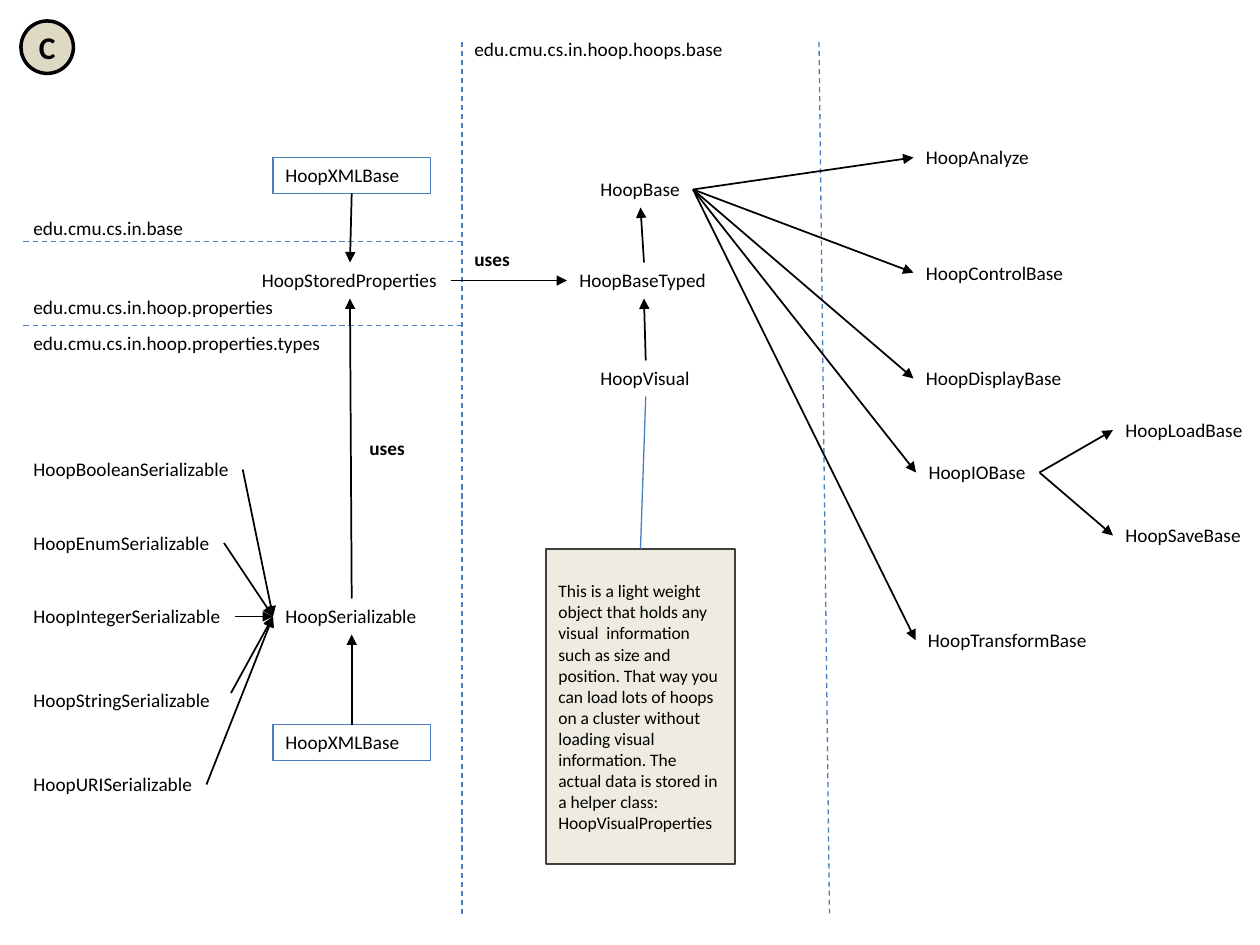
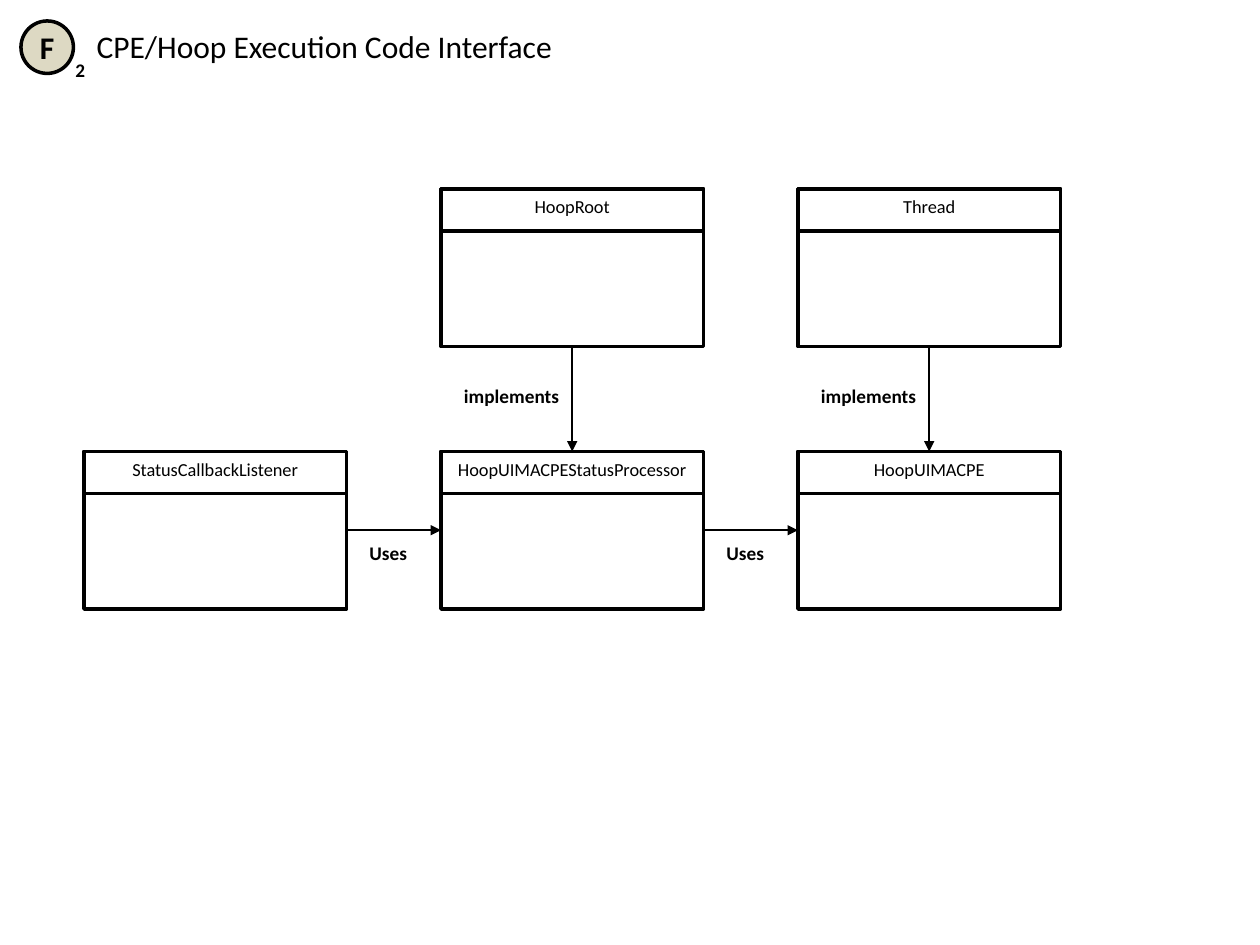
"""Build two class-diagram slides of the Hoop framework."""
from dataclasses import dataclass
from typing import Any, Optional

import lxml.etree
import pptx
import pptx.dml.color
import pptx.enum.dml
import pptx.enum.shapes
import pptx.enum.text
import pptx.oxml.ns
import pptx.util

Pt = pptx.util.Pt
Align = pptx.enum.text.PP_ALIGN
Anchor = pptx.enum.text.MSO_ANCHOR
Shape = pptx.enum.shapes.MSO_SHAPE
Color = pptx.dml.color.RGBColor
TOP, LEFT, BOTTOM, RIGHT = range(4)


@dataclass(frozen=True)
class Theme:
    font: str = "Calibri"
    ink: Color = Color(0x00, 0x00, 0x00)
    paper: Color = Color(0xFF, 0xFF, 0xFF)
    blue: Color = Color(0x4B, 0x7E, 0xBC)
    badge: Color = Color(0xDD, 0xD9, 0xC3)
    note: Color = Color(0xEE, 0xEC, 0xE1)
    note_edge: Color = Color(0x40, 0x40, 0x40)
    title_size: float = 18
    label_size: float = 11
    class_size: float = 10.5
    note_size: float = 10
    thin: float = 0.75
    medium: float = 1
    thick: float = 2
    label_height: float = 20.6


@dataclass(frozen=True)
class Area:
    left: float
    top: float
    width: float
    height: float = Theme.label_height

    def lengths(self) -> tuple:
        return tuple(Pt(value) for value in (self.left, self.top, self.width, self.height))


@dataclass(frozen=True)
class Label:
    text: str
    left: float
    top: float
    width: float
    bold: bool = False
    wrap: bool = False


@dataclass(frozen=True)
class Joint:
    shape: Any
    side: int


@dataclass(frozen=True)
class Point:
    x: float
    y: float


THEME = Theme()

LABELS = [
    Label("HoopBase", 336, 98, 60),
    Label("HoopBaseTyped", 324, 150, 88),
    Label("HoopVisual", 336, 206, 66, wrap=True),
    Label("HoopAnalyze", 522, 79.7, 74),
    Label("HoopControlBase", 522, 145.5, 93.6),
    Label("HoopDisplayBase", 522, 206, 92),
    Label("HoopIOBase", 523.5, 259.7, 70.5),
    Label("HoopTransformBase", 523.2, 355.5, 106.5),
    Label("HoopLoadBase", 636, 235.5, 83, wrap=True),
    Label("HoopSaveBase", 636, 295.7, 83, wrap=True),
    Label("HoopStoredProperties", 142.5, 150, 115),
    Label("HoopSerializable", 156, 342, 90),
    Label("HoopBooleanSerializable", 12, 258, 126.7),
    Label("HoopEnumSerializable", 12, 300, 116),
    Label("HoopIntegerSerializable", 12, 342, 122.4),
    Label("HoopStringSerializable", 12, 390, 116),
    Label("HoopURISerializable", 12, 438, 106),
    Label("edu.cmu.cs.in.base", 12, 120, 100),
    Label("edu.cmu.cs.in.hoop.properties", 12, 165.3, 152),
    Label("edu.cmu.cs.in.hoop.properties.types", 12, 186, 204, wrap=True),
    Label("edu.cmu.cs.in.hoop.hoops.base", 264, 18, 157),
]
USES = [Label("uses", 264, 138, 34.5, bold=True), Label("uses", 204, 246, 34.5, bold=True)]

DIVIDERS = [
    (Point(468, 24), Point(474, 522)),
    (Point(264, 24), Point(264, 522)),
    (Point(264, 186), Point(12, 186)),
    (Point(264, 138), Point(12, 138)),
]

FAN_OUT = {
    "HoopBase": ["HoopAnalyze", "HoopControlBase", "HoopDisplayBase",
                 "HoopIOBase", "HoopTransformBase"],
    "HoopIOBase": ["HoopLoadBase", "HoopSaveBase"],
    "HoopStoredProperties": ["HoopBaseTyped"],
    "HoopBooleanSerializable": ["HoopSerializable"],
    "HoopEnumSerializable": ["HoopSerializable"],
    "HoopIntegerSerializable": ["HoopSerializable"],
    "HoopURISerializable": ["HoopSerializable"],
}
UPWARD = [
    ("HoopBaseTyped", "HoopBase"),
    ("HoopVisual", "HoopBaseTyped"),
    ("HoopSerializable", "HoopStoredProperties"),
]

NOTE = (
    "This is a light weight object that holds any visual  information such as size and "
    "position. That way you can load lots of hoops on a cluster without loading visual "
    "information. The actual data is stored in a helper class: HoopVisualProperties"
)

CLASS_WIDTH, CLASS_HEIGHT, HEADER_HEIGHT = 150, 90, 24
COLUMN_LEFT, COLUMN_STEP = 48, 204
ROW_TOP, ROW_STEP = 108, 150
CLASSES = {
    "HoopRoot": (1, 0),
    "Thread": (2, 0),
    "StatusCallbackListener": (0, 1),
    "HoopUIMACPEStatusProcessor": (1, 1),
    "HoopUIMACPE": (2, 1),
}


def write(shape: Any, text: str, *, size: float = THEME.label_size, bold: bool = False,
          align: Any = Align.LEFT, anchor: Any = Anchor.TOP, wrap: bool = True,
          grow: bool = True, inset: Optional[float] = None) -> None:
    """Put formatted text into a shape."""
    frame = shape.text_frame
    frame.word_wrap = wrap
    frame.vertical_anchor = anchor
    sizing = pptx.enum.text.MSO_AUTO_SIZE
    frame.auto_size = sizing.SHAPE_TO_FIT_TEXT if grow else sizing.NONE
    if inset is not None:
        frame.margin_left = frame.margin_right = Pt(inset)
    para = frame.paragraphs[0]
    para.alignment = align
    span = para.add_run()
    span.text = text
    span.font.name = THEME.font
    span.font.size = Pt(size)
    span.font.bold = bold
    span.font.color.rgb = THEME.ink


def add_box(shapes: Any, area: Area, *, kind: Any = Shape.RECTANGLE,
            fill: Optional[Color] = None, line: Color = THEME.ink,
            weight: float = THEME.thick) -> Any:
    """Draw a flat preset shape with an outline."""
    box = shapes.add_shape(kind, *area.lengths())
    box.shadow.inherit = False
    if fill is None:
        box.fill.background()
    else:
        box.fill.solid()
        box.fill.fore_color.rgb = fill
    box.line.color.rgb = line
    box.line.width = Pt(weight)
    return box


def add_label(page: Any, label: Label) -> Any:
    """Add a text box for one label."""
    box = page.shapes.add_textbox(*Area(label.left, label.top, label.width).lengths())
    write(box, label.text, bold=label.bold, wrap=label.wrap)
    return box


def add_line(page: Any, start: Any, end: Any, *, color: Color = THEME.ink,
             weight: float = THEME.medium, dashed: bool = False, arrow: bool = True) -> None:
    """Draw a straight connector between points or joints."""
    ends = [(Pt(place.x), Pt(place.y)) if isinstance(place, Point) else (0, 0)
            for place in (start, end)]
    line = page.shapes.add_connector(
        pptx.enum.shapes.MSO_CONNECTOR.STRAIGHT, *ends[0], *ends[1])
    if isinstance(start, Joint):
        line.begin_connect(start.shape, start.side)
    if isinstance(end, Joint):
        line.end_connect(end.shape, end.side)
    line.line.color.rgb = color
    line.line.width = Pt(weight)
    if dashed:
        line.line.dash_style = pptx.enum.dml.MSO_LINE.DASH
    qualified = pptx.oxml.ns.qn
    properties = line.element.find(qualified("p:spPr"))
    if arrow:
        outline = properties.find(qualified("a:ln"))
        lxml.etree.SubElement(outline, qualified("a:tailEnd"), type="triangle")
    lxml.etree.SubElement(properties, qualified("a:effectLst"))


def add_badge(page: Any, letter: str) -> None:
    """Draw the lettered circle in the corner."""
    badge = add_box(page.shapes, Area(12, 12, 30, 30), kind=Shape.OVAL, fill=THEME.badge)
    write(badge, letter, size=THEME.title_size, bold=True, align=Align.CENTER,
          anchor=Anchor.MIDDLE, grow=False, inset=0)


def add_framed_class(page: Any, text: str, top: float) -> Any:
    """Draw a class name inside a thin blue frame."""
    box = add_box(page.shapes, Area(156, top, 90), line=THEME.blue, weight=THEME.thin)
    write(box, text)
    return box


def add_class(page: Any, name: str, column: int, row: int) -> Any:
    """Draw a grouped class box with a header and return its body."""
    left, top = COLUMN_LEFT + column * COLUMN_STEP, ROW_TOP + row * ROW_STEP
    shapes = page.shapes.add_group_shape().shapes
    body = add_box(shapes, Area(left, top, CLASS_WIDTH, CLASS_HEIGHT), fill=THEME.paper)
    caption = shapes.add_textbox(*Area(left, top, CLASS_WIDTH, 20).lengths())
    write(caption, name, size=THEME.class_size, align=Align.CENTER)
    add_box(shapes, Area(left, top, CLASS_WIDTH, HEADER_HEIGHT))
    return body


def build_hierarchy(deck: Any) -> None:
    """Build the class hierarchy slide."""
    page = deck.slides.add_slide(deck.slide_layouts[6])
    add_badge(page, "C")
    for start, end in DIVIDERS:
        add_line(page, start, end, color=THEME.blue, weight=THEME.thin,
                 dashed=True, arrow=False)
    nodes = {label.text: add_label(page, label) for label in LABELS}
    for label in USES:
        add_label(page, label)
    for source, targets in FAN_OUT.items():
        for target in targets:
            add_line(page, Joint(nodes[source], RIGHT), Joint(nodes[target], LEFT))
    add_line(page, Point(132, 396), Joint(nodes["HoopSerializable"], LEFT))
    for source, target in UPWARD:
        add_line(page, Joint(nodes[source], TOP), Joint(nodes[target], BOTTOM))

    upper = add_framed_class(page, "HoopXMLBase", 90)
    lower = add_framed_class(page, "HoopXMLBase", 414)
    add_line(page, Joint(upper, BOTTOM), Joint(nodes["HoopStoredProperties"], TOP))
    add_line(page, Joint(lower, TOP), Joint(nodes["HoopSerializable"], BOTTOM))

    note = add_box(page.shapes, Area(312, 313.8, 108, 180), fill=THEME.note,
                   line=THEME.note_edge, weight=THEME.medium)
    write(note, NOTE, size=THEME.note_size, anchor=Anchor.MIDDLE, grow=False)
    add_line(page, Joint(note, TOP), Joint(nodes["HoopVisual"], BOTTOM),
             color=THEME.blue, weight=THEME.thin, arrow=False)


def build_interface(deck: Any) -> None:
    """Build the execution code interface slide."""
    page = deck.slides.add_slide(deck.slide_layouts[5])
    title = page.shapes.title
    title.left, title.top, title.width, title.height = Area(48, 12, 278, 29).lengths()
    write(title, "CPE/Hoop Execution Code Interface", size=THEME.title_size, wrap=False)
    add_badge(page, "F")
    add_label(page, Label("2", 36, 30, 20, bold=True))

    bodies = {name: add_class(page, name, *cell) for name, cell in CLASSES.items()}
    by_cell = {cell: bodies[name] for name, cell in CLASSES.items()}
    for column in (1, 2):
        left = COLUMN_LEFT + column * COLUMN_STEP
        target = by_cell[column, 1]
        add_line(page, Joint(by_cell[column, 0], BOTTOM), Joint(target, TOP))
        add_line(page, Joint(by_cell[column - 1, 1], RIGHT), Joint(target, LEFT))
        add_label(page, Label("implements", left + 6, 216, 70, bold=True))
        add_label(page, Label("Uses", left - 48, 306, 36, bold=True))


def main() -> None:
    """Build and save the deck."""
    deck = pptx.Presentation()
    deck.slide_width, deck.slide_height = Pt(720), Pt(540)
    build_hierarchy(deck)
    build_interface(deck)
    deck.save("out.pptx")


if __name__ == "__main__":
    main()
